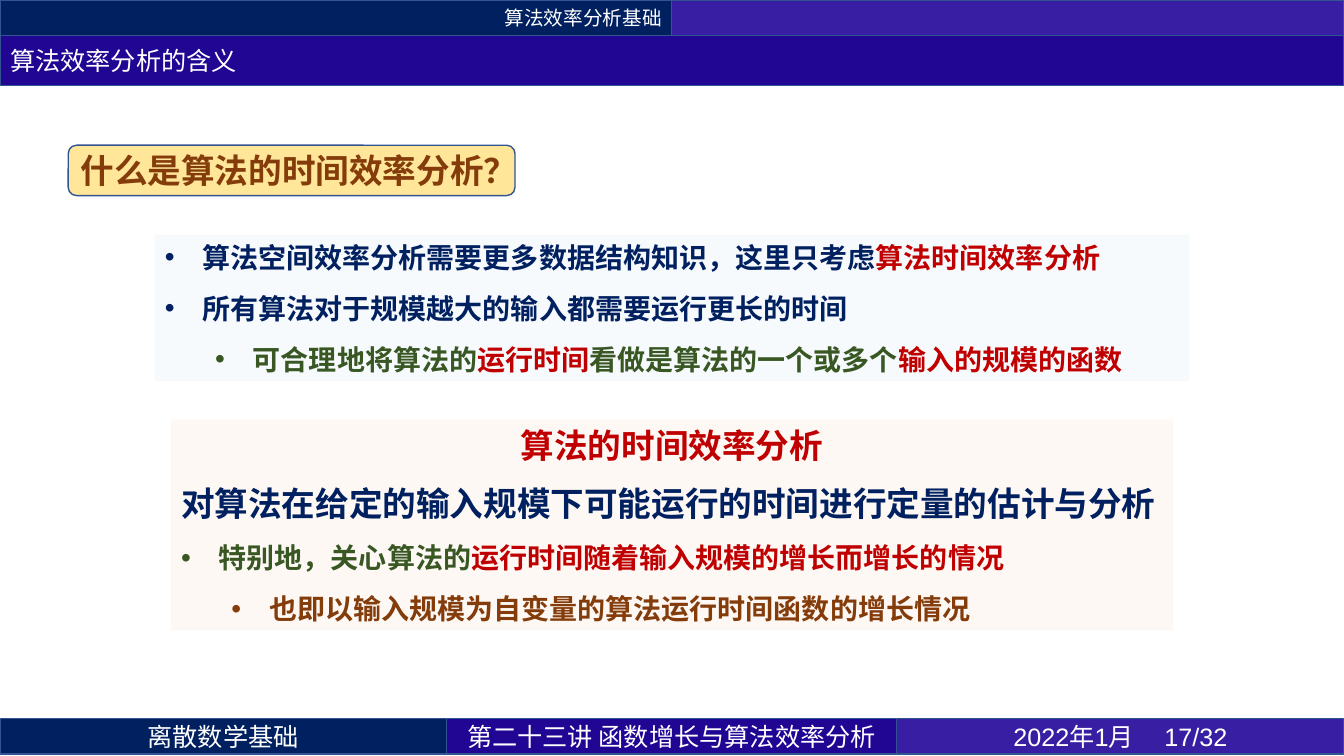
from lxml.etree import SubElement
from pptx import Presentation
from pptx.dml.color import RGBColor
from pptx.enum.shapes import MSO_SHAPE
from pptx.enum.text import MSO_ANCHOR, MSO_AUTO_SIZE, PP_ALIGN
from pptx.oxml.ns import qn
from pptx.util import Cm, Pt

COLORS = {
    "navy": "002060", "indigo": "210694", "violet": "371EA2", "outline": "325491",
    "white": "FFFFFF", "red": "C00000", "green": "385723", "brown": "843C0B",
    "gold": "FFE699", "pale_blue": "F7FAFD", "peach": "FBE5D6",
}
FONT = "Noto Sans CJK SC"
LINE_HEIGHT = 1.22
HANGING = 0.95
LEVEL_STEP = 1.27


def write(para, spans, size, latin=FONT, bold=False, align=PP_ALIGN.LEFT):
    """Fill a paragraph with (text, colour name) spans."""
    para.alignment = align
    for text, color in spans:
        span = para.add_run()
        span.text = text
        span.font.size = Pt(size)
        span.font.bold = bold
        span.font.name = latin
        span.font.color.rgb = RGBColor.from_string(COLORS[color])
        SubElement(span.font._element, qn("a:ea")).set("typeface", FONT)


def dress(shape, place, fill, outlined=True):
    """Place a shape, given in centimetres, and set its fill, line and frame."""
    shape.left, shape.top, shape.width, shape.height = [Cm(length) for length in place]
    shape.fill.solid()
    shape.fill.fore_color.rgb = RGBColor.from_string(COLORS[fill])
    if outlined:
        shape.line.color.rgb = RGBColor.from_string(COLORS["outline"])
        shape.line.width = Pt(1)
    frame = shape.text_frame
    frame.word_wrap = True
    frame.auto_size = MSO_AUTO_SIZE.NONE
    frame.vertical_anchor = MSO_ANCHOR.MIDDLE if outlined else MSO_ANCHOR.TOP
    return frame.paragraphs[0]


deck = Presentation()
deck.slide_width, deck.slide_height = Cm(33.87), Cm(19.05)
page = deck.slides.add_slide(deck.slide_layouts[3])
title, points_box, definition_box = page.placeholders

# Header and footer bars
bars = [
    ((0, 0, 16.93, 0.89), "navy", "算法效率分析基础", 14, FONT, PP_ALIGN.RIGHT),
    ((16.93, 0, 16.94, 0.89), "violet", "", 14, FONT, PP_ALIGN.LEFT),
    ((0, 18.11, 11.25, 0.89), "navy", "离散数学基础", 18, FONT, PP_ALIGN.CENTER),
    ((11.25, 18.11, 11.35, 0.89), "indigo", "第二十三讲 函数增长与算法效率分析", 18, FONT,
     PP_ALIGN.CENTER),
    ((22.6, 18.11, 11.27, 0.89), "violet", "2022年1月\t17/32", 18, "Arial", PP_ALIGN.CENTER),
]
for place, fill, text, size, latin, align in bars:
    bar = page.shapes.add_shape(MSO_SHAPE.RECTANGLE, 0, 0, 0, 0)
    bar.shadow.inherit = False
    para = dress(bar, place, fill)
    if text:
        write(para, [(text, "white")], size, latin, align=align)

write(dress(title, (0, 0.89, 33.87, 1.27), "indigo"), [("算法效率分析的含义", "white")], 18)

# Question
question = page.shapes.add_shape(MSO_SHAPE.ROUNDED_RECTANGLE, 0, 0, 0, 0)
question.shadow.inherit = False
para = dress(question, (1.72, 3.66, 11.26, 1.27), "gold")
question.text_frame.margin_right = 0
write(para, [("什么是算法的时间效率分析？", "brown")], 24, bold=True)

# Lists: each line is (level, size, alignment, spans); level None has no bullet
points = [
    (0, 20, PP_ALIGN.LEFT, [("算法空间效率分析需要更多数据结构知识，这里只考虑", "navy"),
                            ("算法时间效率分析", "red")]),
    (0, 20, PP_ALIGN.LEFT, [("所有算法对于规模越大的输入都需要运行更长的时间", "navy")]),
    (1, 20, PP_ALIGN.LEFT, [("可合理地将算法的", "green"), ("运行时间", "red"),
                            ("看做是算法的一个或多个", "green"), ("输入的规模的函数", "red")]),
]
definition = [
    (None, 24, PP_ALIGN.CENTER, [("算法的时间效率分析", "red")]),
    (None, 24, PP_ALIGN.LEFT, [("对算法在给定的输入规模下可能运行的时间进行定量的估计与分析", "navy")]),
    (0, 20, PP_ALIGN.LEFT, [("特别地，关心算法的", "green"),
                            ("运行时间随着输入规模的增长而增长的情况", "red")]),
    (1, 20, PP_ALIGN.LEFT, [("也即以输入规模为自变量的算法运行时间函数的增长情况", "brown")]),
]
panels = [
    (points_box, (3.9, 5.92, 26.07, 3.68), "pale_blue", points),
    (definition_box, (4.31, 10.57, 25.25, 5.31), "peach", definition),
]
for box, place, fill, lines in panels:
    first = dress(box, place, fill, outlined=False)
    for number, (level, size, align, spans) in enumerate(lines):
        para = box.text_frame.add_paragraph() if number else first
        para.level = level or 0
        properties = para._p.get_or_add_pPr()
        if level is None:
            properties.set("marL", "0")
            properties.set("indent", "0")
            SubElement(properties, qn("a:buNone"))
        else:
            properties.set("marL", str(Cm(HANGING + level * LEVEL_STEP)))
            properties.set("indent", str(-Cm(HANGING)))
            SubElement(properties, qn("a:buFont")).set("typeface", "Arial")
            SubElement(properties, qn("a:buChar")).set("char", "•")
        para.line_spacing = Pt(size * LINE_HEIGHT)
        para.space_before = Pt(6 if number else 0)
        para.space_after = Pt(6)
        write(para, spans, size, bold=True, align=align)

peach = definition_box.fill._xPr.find(qn("a:solidFill"))[0]
SubElement(peach, qn("a:alpha")).set("val", "25000")

deck.save("out.pptx")
